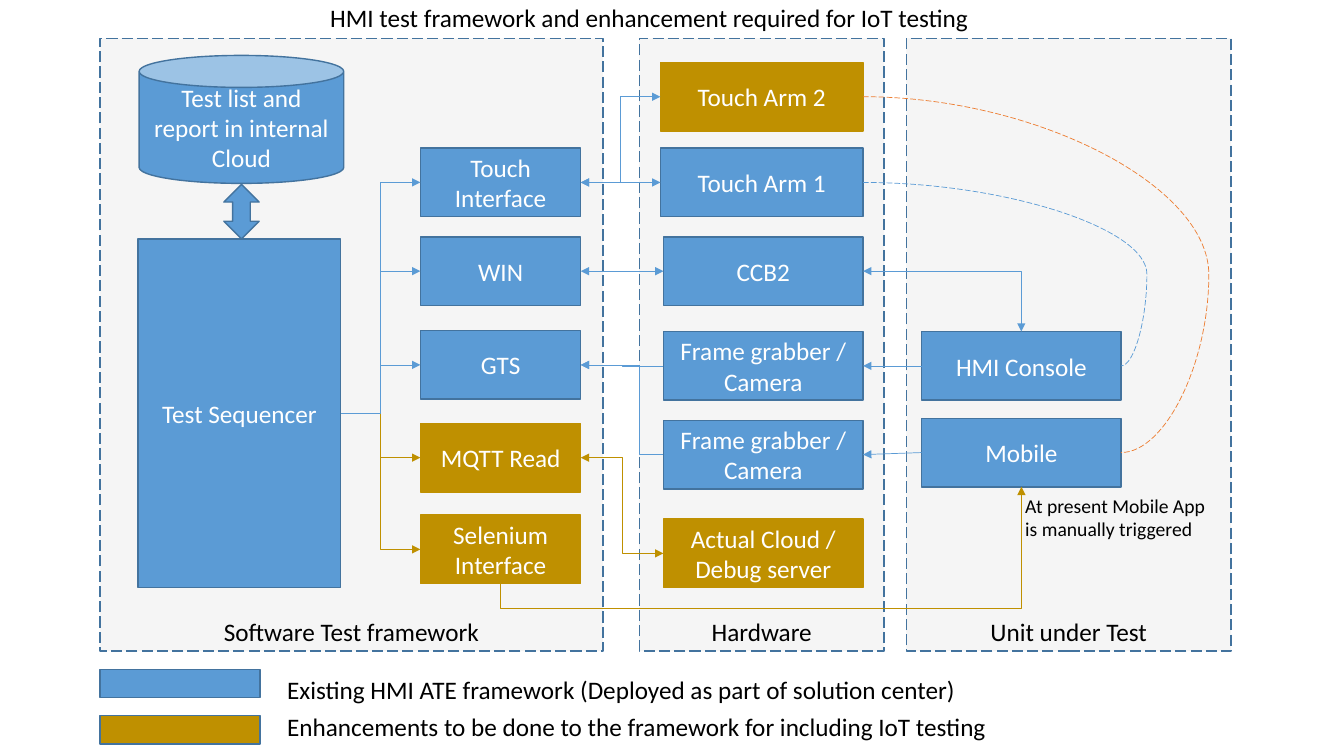
from lxml import etree
from pptx import Presentation
from pptx.dml.color import RGBColor
from pptx.enum.dml import MSO_LINE
from pptx.enum.shapes import MSO_CONNECTOR, MSO_SHAPE
from pptx.enum.text import MSO_ANCHOR, PP_ALIGN
from pptx.oxml.ns import qn
from pptx.util import Inches, Pt

BLUE = RGBColor(0x5B, 0x9B, 0xD5)
EDGE = RGBColor(0x43, 0x73, 0x9E)
GOLD = RGBColor(0xBF, 0x90, 0x00)
ORANGE = RGBColor(0xED, 0x7D, 0x31)
GREY = RGBColor(0xD9, 0xD9, 0xD9)
WHITE = RGBColor(0xFF, 0xFF, 0xFF)
BLACK = RGBColor(0x00, 0x00, 0x00)

RECT, CAN, UP_DOWN = MSO_SHAPE.RECTANGLE, MSO_SHAPE.CAN, MSO_SHAPE.UP_DOWN_ARROW
STRAIGHT, ELBOW, CURVE = MSO_CONNECTOR.STRAIGHT, MSO_CONNECTOR.ELBOW, MSO_CONNECTOR.CURVE
DASH = MSO_LINE.LONG_DASH
LEFT, CENTER = PP_ALIGN.LEFT, PP_ALIGN.CENTER
ANCHOR_TOP, MIDDLE, BOTTOM = MSO_ANCHOR.TOP, MSO_ANCHOR.MIDDLE, MSO_ANCHOR.BOTTOM
SIDE_TOP, SIDE_LEFT, SIDE_BOTTOM, SIDE_RIGHT = range(4)

TITLE = "HMI test framework and enhancement required for IoT testing"
NOTE = "At present Mobile App is manually triggered"
STORE = "Test list and report in internal Cloud"
ZONE_TOP, ZONE_HEIGHT = 0.38, 6.08
ZONES = [("Software Test framework", 0.99, 4.99), ("Hardware", 6.34, 2.43),
         ("Unit under Test", 8.99, 3.22)]

# Column: left, width
COLUMNS = {"interface": (4.17, 1.59), "arm": (6.55, 2.01),
           "hardware": (6.58, 1.98), "unit": (9.14, 1.98)}
BOX_HEIGHT = 0.68
# Key: text, column, top, colour
BOXES = {
    "touch": ("Touch Interface", "interface", 1.47, BLUE),
    "win": ("WIN", "interface", 2.35, BLUE),
    "gts": ("GTS", "interface", 3.28, BLUE),
    "mqtt": ("MQTT Read", "interface", 4.2, GOLD),
    "selenium": ("Selenium Interface", "interface", 5.11, GOLD),
    "arm2": ("Touch Arm 2", "arm", 0.62, GOLD),
    "arm1": ("Touch Arm 1", "arm", 1.47, BLUE),
    "ccb2": ("CCB2", "hardware", 2.35, BLUE),
    "grabber1": ("Frame grabber / Camera", "hardware", 3.29, BLUE),
    "grabber2": ("Frame grabber / Camera", "hardware", 4.17, BLUE),
    "cloud": ("Actual Cloud / Debug server", "hardware", 5.15, GOLD),
    "console": ("HMI Console", "unit", 3.29, BLUE),
    "mobile": ("Mobile", "unit", 4.15, BLUE),
}
# From, to, colour, arrowheads, bend as a share of the width
ELBOWS = [
    ("gts", "grabber1", BLUE, ["headEnd"], 0.5),
    ("gts", "grabber2", BLUE, ["headEnd"], 0.71),
    ("win", "ccb2", BLUE, ["headEnd", "tailEnd"], 0.5),
    ("mqtt", "cloud", GOLD, ["headEnd", "tailEnd"], 0.5),
    ("touch", "arm1", BLUE, ["headEnd", "tailEnd"], 0.5),
    ("touch", "arm2", BLUE, ["headEnd", "tailEnd"], 0.5),
] + [("sequencer", key, BOXES[key][3], ["tailEnd"], 0.5)
     for key in ("win", "gts", "mqtt", "selenium", "touch")]
CAMERA_LINKS = [("console", "grabber1"), ("mobile", "grabber2")]
ARM_REACHES = [("arm1", "console", BLUE, 1.1), ("arm2", "mobile", ORANGE, 1.34)]

# Text, colour, swatch top, text top
LEGEND = [("Existing HMI ATE framework (Deployed as part of solution center)", BLUE, 6.64, 6.64),
          ("Enhancements to be done to the framework for including IoT testing", GOLD, 7.1, 7.01)]


def write(shape, text, color, size=18, align=CENTER, anchor=MIDDLE):
    frame = shape.text_frame
    frame.word_wrap = True
    frame.vertical_anchor = anchor
    frame.text = text
    para = frame.paragraphs[0]
    para.alignment = align
    para.font.name = "Calibri"
    para.font.size = Pt(size)
    para.font.color.rgb = color


def add_block(slide, kind, place, fill, edge):
    shape = slide.shapes.add_shape(kind, *map(Inches, place))
    shape.shadow.inherit = False
    shape.fill.solid()
    shape.fill.fore_color.rgb = fill
    shape.line.color.rgb = edge
    shape.line.width = Pt(1)
    return shape


def add_label(slide, place, text, size=18):
    box = slide.shapes.add_textbox(*map(Inches, place))
    write(box, text, BLACK, size, LEFT, ANCHOR_TOP)


def link(slide, kind, start, end, color, heads=(), bend=None, dash=None):
    """Join two (shape, side) pairs and return the connector."""
    connector = slide.shapes.add_connector(kind, 0, 0, 0, 0)
    connector.begin_connect(*start)
    connector.end_connect(*end)
    connector.line.color.rgb = color
    connector.line.width = Pt(0.5)
    if dash:
        connector.line.dash_style = dash
    properties = connector._element.spPr
    for head in heads:
        etree.SubElement(properties.find(qn("a:ln")), qn("a:" + head), type="triangle")
    etree.SubElement(properties, qn("a:effectLst"))
    if bend is not None:
        guides = properties.find(qn("a:prstGeom")).get_or_add_avLst()
        etree.SubElement(guides, qn("a:gd"), name="adj1", fmla=f"val {round(bend * 100000)}")
    return connector


def turn_upright(connector):
    """Make an elbow that runs left to right and upward leave and arrive vertically."""
    left, top, width, height = connector.left, connector.top, connector.width, connector.height
    connector.left = left + (width - height) // 2
    connector.top = top + (height - width) // 2
    connector.width, connector.height = height, width
    frame = connector._element.spPr.find(qn("a:xfrm"))
    for name, value in (("rot", "5400000"), ("flipH", "1"), ("flipV", "1")):
        frame.set(name, value)


def main():
    deck = Presentation()
    deck.slide_width, deck.slide_height = Inches(13.33), Inches(7.5)
    slide = deck.slides.add_slide(deck.slide_layouts[5])

    title = slide.shapes.title
    title.left, title.top, title.width, title.height = map(Inches, (3.1, -0.03, 6.68, 0.4))
    write(title, TITLE, BLACK, anchor=ANCHOR_TOP)

    for text, left, width in ZONES:
        zone = add_block(slide, RECT, (left, ZONE_TOP, width, ZONE_HEIGHT), GREY, EDGE)
        zone.line.dash_style = DASH
        tint = zone._element.spPr.find(qn("a:solidFill"))[0]
        etree.SubElement(tint, qn("a:alpha"), val="25000")
        write(zone, text, BLACK, anchor=BOTTOM)

    sequencer = add_block(slide, RECT, (1.37, 2.37, 2.01, 3.46), BLUE, EDGE)
    write(sequencer, "Test Sequencer", WHITE)
    boxes = {"sequencer": sequencer}
    for key, (text, column, top, color) in BOXES.items():
        left, width = COLUMNS[column]
        edge = GOLD if color == GOLD else EDGE
        boxes[key] = add_block(slide, RECT, (left, top, width, BOX_HEIGHT), color, edge)
        write(boxes[key], text, WHITE)

    for start, end in CAMERA_LINKS:
        link(slide, STRAIGHT, (boxes[start], SIDE_LEFT), (boxes[end], SIDE_RIGHT),
             BLUE, ["tailEnd"])
    for start, end, color, heads, bend in ELBOWS:
        link(slide, ELBOW, (boxes[start], SIDE_RIGHT), (boxes[end], SIDE_LEFT),
             color, heads, bend)
    for start, end, color, bend in ARM_REACHES:
        link(slide, CURVE, (boxes[start], SIDE_RIGHT), (boxes[end], SIDE_RIGHT),
             color, bend=bend, dash=DASH)
    corner = link(slide, ELBOW, (boxes["ccb2"], SIDE_RIGHT), (boxes["console"], SIDE_TOP),
                  BLUE, ["headEnd", "tailEnd"])
    corner._element.spPr.find(qn("a:prstGeom")).set("prst", "bentConnector2")
    trigger = link(slide, ELBOW, (boxes["selenium"], SIDE_BOTTOM), (boxes["mobile"], SIDE_BOTTOM),
                   GOLD, ["tailEnd"], -0.26)
    turn_upright(trigger)

    add_label(slide, (10.07, 4.85, 2.14, 0.57), NOTE, 14)
    for text, color, swatch_top, text_top in LEGEND:
        add_block(slide, RECT, (0.99, swatch_top, 1.59, 0.28), color, EDGE)
        add_label(slide, (2.75, text_top, 9.7, 0.4), text)

    store = add_block(slide, CAN, (1.38, 0.55, 2.03, 1.27), BLUE, EDGE)
    write(store, STORE, WHITE)
    add_block(slide, UP_DOWN, (2.22, 1.83, 0.35, 0.54), BLUE, EDGE)

    deck.save("out.pptx")


if __name__ == "__main__":
    main()
